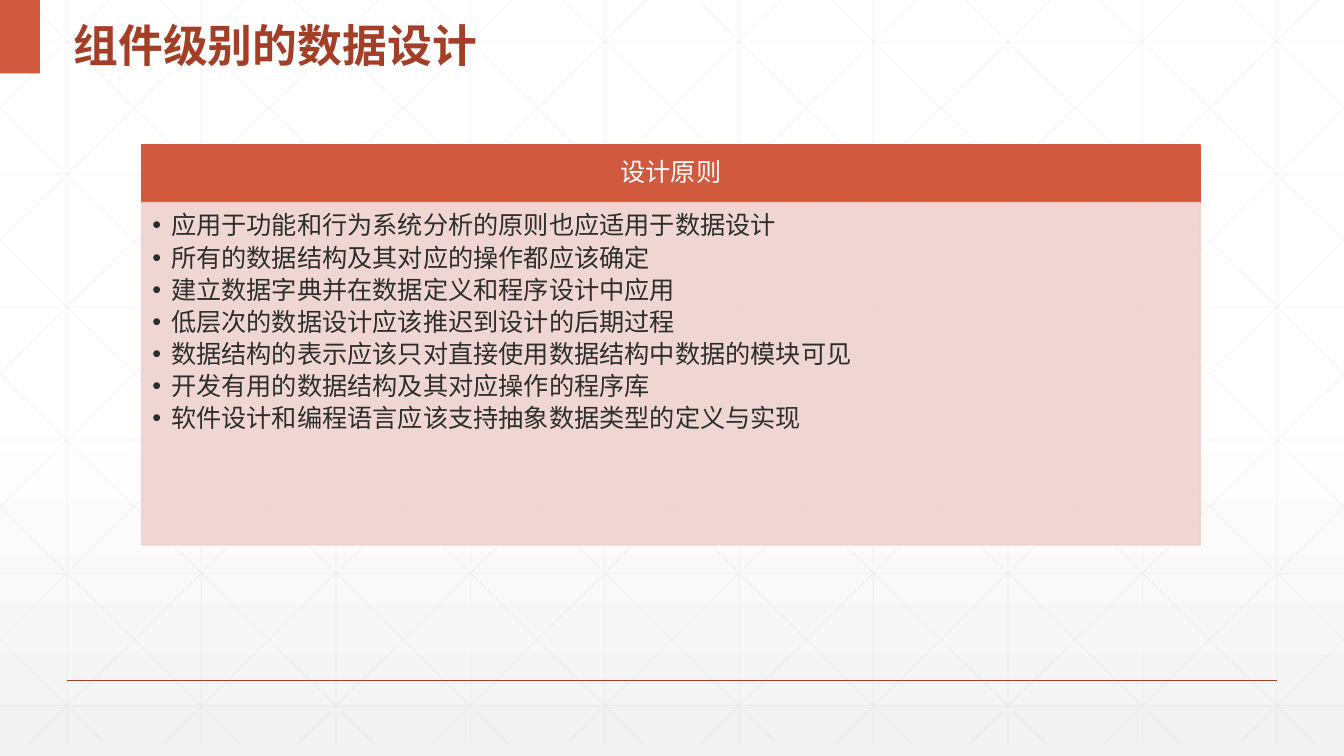
from copy import deepcopy

from pptx import Presentation
from pptx.dml.color import RGBColor
from pptx.enum.shapes import MSO_CONNECTOR as CONN, MSO_SHAPE as SHAPE
from pptx.enum.text import MSO_ANCHOR as ANCHOR, MSO_AUTO_SIZE as AUTO, PP_ALIGN as ALIGN
from pptx.oxml.ns import qn
from pptx.oxml.xmlchemy import OxmlElement
from pptx.util import Pt

W, H = 1280, 720
PRINCIPLES = [
    "应用于功能和行为系统分析的原则也应适用于数据设计",
    "所有的数据结构及其对应的操作都应该确定",
    "建立数据字典并在数据定义和程序设计中应用",
    "低层次的数据设计应该推迟到设计的后期过程",
    "数据结构的表示应该只对直接使用数据结构中数据的模块可见",
    "开发有用的数据结构及其对应操作的程序库",
    "软件设计和编程语言应该支持抽象数据类型的定义与实现",
]


def px(n):
    return round(n * 9525)


def rgb(value):
    return RGBColor.from_string(value)


def child(parent, tag, **attrs):
    el = OxmlElement(tag)
    for name, value in attrs.items():
        el.set(name, str(value))
    parent.append(el)


def paint(fill, color, alpha=100):
    fill.solid()
    fill.fore_color.rgb = rgb(color)
    if alpha < 100:
        clr = fill._xPr.find(qn("a:solidFill"))[0]
        child(clr, "a:alpha", val=alpha * 1000)


def write(tf, lines, size=18, color="000000", font="Arial", bold=False, align=ALIGN.LEFT,
          anchor=ANCHOR.TOP, insets=(10, 5, 10, 5), spacing=0.9, after=0, indent=0):
    tf.word_wrap, tf.auto_size, tf.vertical_anchor = True, AUTO.NONE, anchor
    tf.margin_left, tf.margin_top, tf.margin_right, tf.margin_bottom = map(px, insets)
    for i, line in enumerate(lines):
        p = tf.add_paragraph() if i else tf.paragraphs[0]
        p.alignment, p.line_spacing = align, spacing
        p.space_before, p.space_after = Pt(0), Pt(after)
        if indent:
            pPr = p._p.get_or_add_pPr()
            pPr.set("marL", str(px(indent)))
            pPr.set("indent", str(-px(indent)))
            child(pPr, "a:buFont", typeface="Arial")
            child(pPr, "a:buChar", char="•")
        r = p.add_run()
        r.text = line
        r.font.size, r.font.bold, r.font.name = Pt(size), bold, font
        r.font.color.rgb = rgb(color)
        child(r._r.get_or_add_rPr(), "a:ea", typeface=font)


class Deck:
    accent, dark, panel, ink, grid = "D15A3E", "A43F27", "EED2CE", "2D2E2D", "D9D9D9"

    def __init__(self):
        self.prs = Presentation()
        self.prs.slide_width, self.prs.slide_height = px(W), px(H)
        self.s = self.prs.slides.add_slide(self.prs.slide_layouts[1])

    def background(self, *stops):
        fill = self.s.background.fill
        fill.gradient()
        fill.gradient_angle = 270
        gs_list = self.s.element.find(".//" + qn("a:gsLst"))
        gs_list.append(deepcopy(gs_list[-1]))
        for gs, (position, color) in zip(fill.gradient_stops, stops):
            gs.position, gs.color.rgb = position, rgb(color)

    def line(self, x1, y1, x2, y2, color, width=0.5, alpha=100):
        c = self.s.shapes.add_connector(CONN.STRAIGHT, px(x1), px(y1), px(x2), px(y2))
        c.line.width = Pt(width)
        paint(c.line.fill, color, alpha)
        child(c._element.spPr, "a:effectLst")

    def rect(self, x, y, w, h, color, outline=True):
        sp = self.s.shapes.add_shape(SHAPE.RECTANGLE, px(x), px(y), px(w), px(h))
        sp.shadow.inherit = False
        paint(sp.fill, color)
        if outline:
            sp.line.width = Pt(1)
            paint(sp.line.fill, color)
        else:
            sp.line.fill.background()
        return sp

    def placeholder(self, idx, x, y, w, h):
        sp = self.s.placeholders[idx]
        sp.left, sp.top, sp.width, sp.height = map(px, (x, y, w, h))
        sp.element.getparent().append(sp.element)  # bring to front
        return sp


def main():
    d = Deck()
    d.background((0, "FFFFFF"), (0.53, "FFFFFF"), (1, "F2F2F2"))

    # Faint grid: verticals, horizontals, then mirrored diagonals cut at the sides
    bottom, run, step = 708, 716, 128
    faint = dict(color=d.grid, alpha=25)
    for i in range(10):
        d.line(64 + i * step, 0, 64 + i * step, bottom, **faint)
    for i in range(6):
        y = round(40 + i * 126.4)
        d.line(0, y, W, y, **faint)
    for i in range(-5, 10):
        start = 24 + i * step
        x1, x2 = max(start, 0), min(start + run, W)
        y1, y2 = (round((x - start) * bottom / run) for x in (x1, x2))
        d.line(x1, y1, x2, y2, **faint)
        d.line(W - x1, y1, W - x2, y2, **faint)

    # Footer rule and corner block
    d.line(64, 648, 1216, 648, d.dark, width=1)
    d.rect(0, 0, 38, 70, d.accent, outline=False)

    # Title
    title = d.placeholder(0, 60, 0, 546, 70)
    write(title.text_frame, ["组件级别的数据设计"], size=32, color=d.dark, bold=True,
          font="Noto Sans CJK SC", anchor=ANCHOR.MIDDLE, spacing=1.3)

    # Panel: header bar above the list of principles
    header = d.rect(135, 138, 1008, 55, d.accent)
    write(header.text_frame, ["设计原则"], color="FFFFFF", align=ALIGN.CENTER,
          anchor=ANCHOR.MIDDLE, insets=(13, 8, 13, 8))
    body = d.placeholder(1, 135, 193, 1008, 326)
    paint(body.fill, d.panel, alpha=90)
    body.line.width = Pt(1)
    paint(body.line.fill, d.panel, alpha=90)
    write(body.text_frame, PRINCIPLES, color=d.ink, insets=(10, 10, 13, 15),
          after=3.5, indent=18)

    d.prs.save("out.pptx")


if __name__ == "__main__":
    main()
